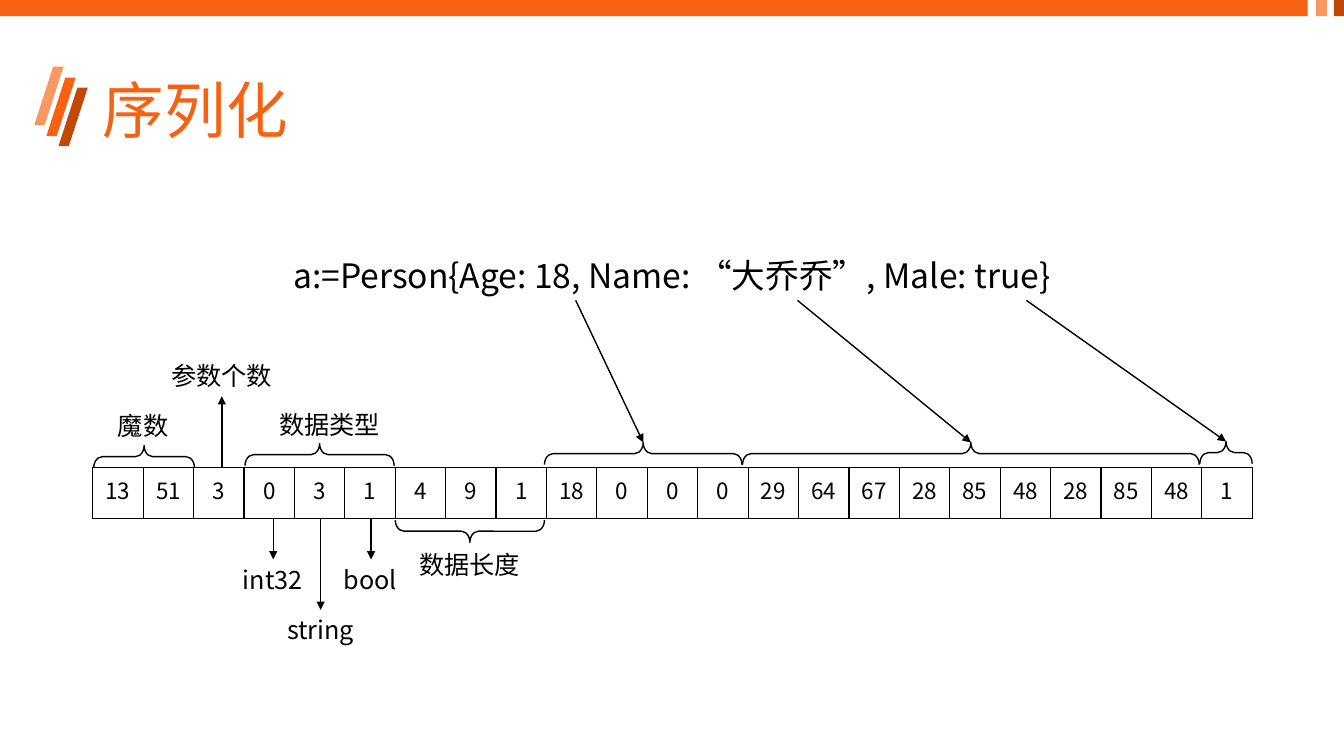
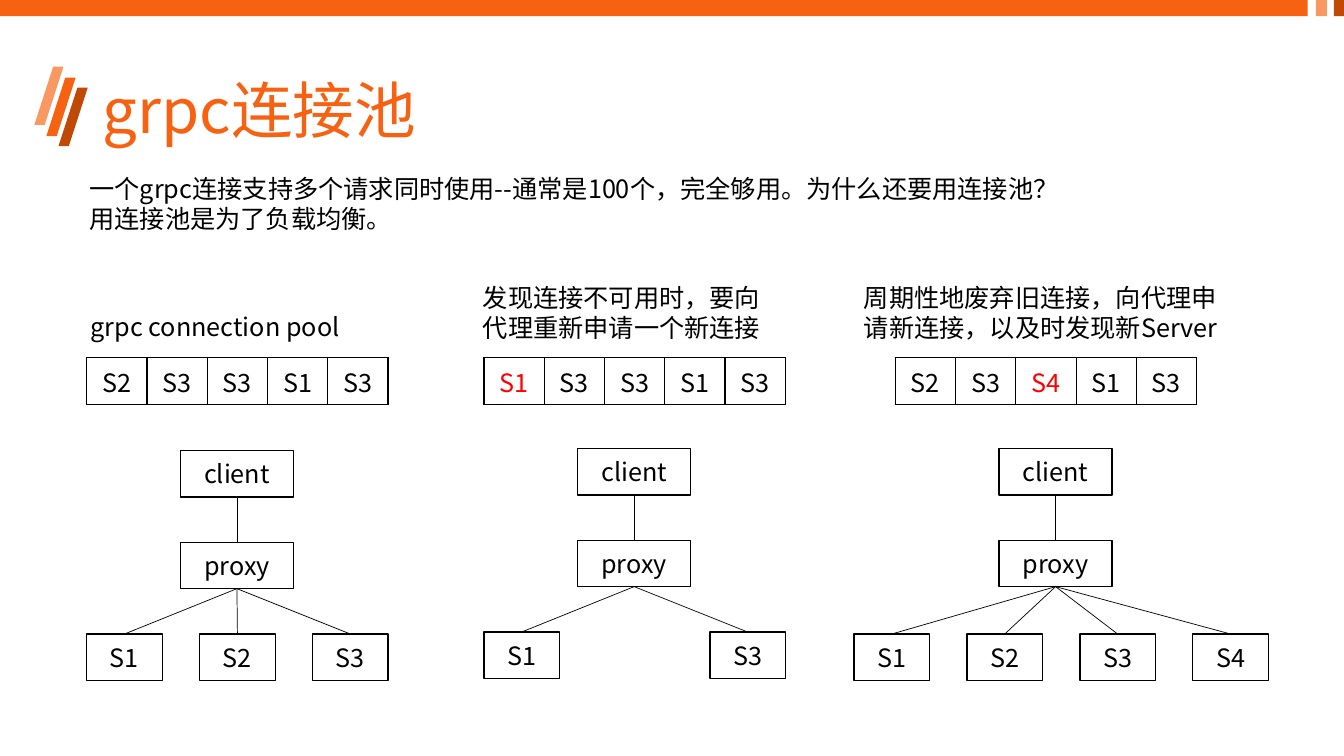
from pptx import Presentation
from pptx.dml.color import RGBColor
from pptx.enum.shapes import MSO_CONNECTOR, MSO_SHAPE
from pptx.enum.text import MSO_ANCHOR, MSO_AUTO_SIZE, PP_ALIGN
from pptx.oxml.ns import qn
from pptx.util import Inches, Pt
from lxml.etree import SubElement

FONT = "Noto Sans CJK SC"
ORANGE, LIGHT, DARK = "F76212", "FA9862", "C14907"
BLACK, WHITE, RED = "000000", "FFFFFF", "FF0000"

DECORATION = [
    (MSO_SHAPE.PARALLELOGRAM, 0.46, 0.77, 0.29, 0.58, ORANGE),
    (MSO_SHAPE.PARALLELOGRAM, 0.34, 0.66, 0.29, 0.58, LIGHT),
    (MSO_SHAPE.PARALLELOGRAM, 0.58, 0.87, 0.29, 0.58, DARK),
    (MSO_SHAPE.RECTANGLE, 0, 0, 12.97, 0.16, ORANGE),
    (MSO_SHAPE.RECTANGLE, 13.05, 0, 0.11, 0.16, LIGHT),
    (MSO_SHAPE.RECTANGLE, 13.23, 0, 0.1, 0.16, DARK),
]

BYTES = [13, 51, 3, 0, 3, 1, 4, 9, 1, 18, 0, 0, 0,
         29, 64, 67, 28, 85, 48, 28, 85, 48, 1]
PERSON = "a:=Person{Age: 18, Name: “大乔乔”, Male: true}"
BYTE_LABELS = [
    ("魔数", 1.07, 4.02, 0.75),
    ("参数个数", 1.6, 3.53, 1.25),
    ("数据类型", 2.67, 4.01, 1.25),
    ("数据长度", 4.06, 5.4, 1.25),
    ("int32", 2.31, 5.55, 0.85),
    ("string", 2.75, 6.05, 0.95),
    ("bool", 3.31, 5.55, 0.8),
]
BRACES = [
    (1.43, 4.53, 1, 270),
    (3.17, 4.51, 1.48, 270),
    (4.66, 5.27, 1.48, 90),
    (6.38, 4.5, 1.96, 270),
    (9.63, 4.5, 4.53, 270),
    (12.16, 4.49, 0.52, 270),
]
ARROWS = [
    (2.2, 4.64, 2.2, 3.93),
    (2.71, 5.15, 2.71, 5.55),
    (3.18, 5.15, 3.18, 6.05),
    (3.68, 5.15, 3.68, 5.55),
    (5.71, 2.98, 6.38, 4.39),
    (7.91, 2.98, 9.63, 4.39),
    (10.18, 2.98, 12.16, 4.38),
]

POOL_INTRO = [
    "一个grpc连接支持多个请求同时使用--通常是100个，完全够用。为什么还要用连接池？",
    "用连接池是为了负载均衡。",
]
POOLS = [
    {"caption": "grpc connection pool", "caption_box": (0.8, 3.04, 2.75, 0.4),
     "wrap": False, "connections": ["S2", "S3", "S3", "S1", "S3"], "changed": None,
     "table_left": 0.86, "center": 2.35, "client_top": 4.47,
     "server_left": 0.86, "server_top": 6.29, "servers": [1, 2, 3]},
    {"caption": "发现连接不可用时，要向代理重新申请一个新连接",
     "caption_box": (4.69, 2.75, 3.09, 0.71),
     "wrap": True, "connections": ["S1", "S3", "S3", "S1", "S3"], "changed": 0,
     "table_left": 4.8, "center": 6.29, "client_top": 4.45,
     "server_left": 4.8, "server_top": 6.27, "servers": [1, 3]},
    {"caption": "周期性地废弃旧连接，向代理申请新连接，以及时发现新Server",
     "caption_box": (8.47, 2.75, 3.79, 0.71),
     "wrap": True, "connections": ["S2", "S3", "S4", "S1", "S3"], "changed": 2,
     "table_left": 8.88, "center": 10.47, "client_top": 4.45,
     "server_left": 8.47, "server_top": 6.29, "servers": [1, 2, 3, 4]},
]
SERVER_STEP = 1.12
PROXY_DROP = 0.91


def rgb(color):
    return RGBColor.from_string(color)


def inches(*lengths):
    return [Inches(length) for length in lengths]


def style(paragraph, size, color=BLACK, align=PP_ALIGN.LEFT):
    paragraph.alignment = align
    paragraph.font.size = Pt(size)
    paragraph.font.name = FONT
    paragraph.font.color.rgb = rgb(color)
    properties = paragraph._p.pPr.find(qn("a:defRPr"))
    SubElement(properties, qn("a:ea")).set("typeface", FONT)


def add_decoration(slide, layout):
    for position, (kind, left, top, width, height, color) in enumerate(DECORATION, 2):
        shape = slide.shapes.add_shape(kind, *inches(left, top, width, height))
        shape.shadow.inherit = False
        shape.fill.solid()
        shape.fill.fore_color.rgb = rgb(color)
        shape.line.fill.background()
        if kind == MSO_SHAPE.PARALLELOGRAM:
            shape.adjustments[0] = 0.646
        layout.shapes.element.insert(position, shape.element)


def add_titled_slide(presentation, layout, text):
    slide = presentation.slides.add_slide(layout)
    title = slide.shapes.title
    title.left, title.top, title.width, title.height = inches(0.92, 0.4, 11.5, 1.45)
    title.text_frame.text = text
    title.text_frame.vertical_anchor = MSO_ANCHOR.MIDDLE
    paragraph = title.text_frame.paragraphs[0]
    paragraph.line_spacing = 0.9
    style(paragraph, 44, ORANGE)
    return slide


def add_text(slide, lines, box, size=18, wrap=False):
    frame = slide.shapes.add_textbox(*inches(*box)).text_frame
    frame.word_wrap = wrap
    frame.auto_size = MSO_AUTO_SIZE.SHAPE_TO_FIT_TEXT
    frame.text = "\n".join(lines)
    for paragraph in frame.paragraphs:
        style(paragraph, size)


def add_line(slide, ends=(0, 0, 0, 0), weight=0.5):
    line = slide.shapes.add_connector(MSO_CONNECTOR.STRAIGHT, *inches(*ends))
    line.line.color.rgb = rgb(BLACK)
    line.line.width = Pt(weight)
    SubElement(line.element.spPr, qn("a:effectLst"))
    return line


def add_arrow(slide, ends):
    arrow = add_line(slide, ends, 1)
    SubElement(arrow.line._get_or_add_ln(), qn("a:tailEnd")).set("type", "triangle")


def add_link(slide, upper, lower):
    link = add_line(slide)
    link.begin_connect(upper, 2)
    link.end_connect(lower, 0)


def add_brace(slide, center, middle, length, rotation):
    thickness = 0.22
    brace = slide.shapes.add_shape(
        MSO_SHAPE.RIGHT_BRACE,
        *inches(center - thickness / 2, middle - length / 2, thickness, length))
    brace.rotation = rotation
    brace.adjustments[0] = 0.385
    brace.shadow.inherit = False
    brace.fill.background()
    brace.line.color.rgb = rgb(BLACK)
    brace.line.width = Pt(1)


def add_node(slide, text, left, top, width):
    node = slide.shapes.add_shape(MSO_SHAPE.RECTANGLE, *inches(left, top, width, 0.46))
    node.shadow.inherit = False
    node.fill.solid()
    node.fill.fore_color.rgb = rgb(WHITE)
    node.line.color.rgb = rgb(BLACK)
    node.line.width = Pt(1)
    node.text_frame.text = text
    node.text_frame.vertical_anchor = MSO_ANCHOR.MIDDLE
    style(node.text_frame.paragraphs[0], 18, align=PP_ALIGN.CENTER)
    return node


def add_borders(cell):
    properties = cell._tc.get_or_add_tcPr()
    for side in ("a:lnL", "a:lnR", "a:lnT", "a:lnB"):
        border = SubElement(properties, qn(side), w=str(Pt(1)))
        fill = SubElement(border, qn("a:solidFill"))
        SubElement(fill, qn("a:srgbClr"), val=BLACK)


def add_strip(slide, values, box, size, margins=(0.1, 0.05), red_index=None):
    table = slide.shapes.add_table(1, len(values), *inches(*box)).table
    table.first_row = False
    table.horz_banding = False
    for index, value in enumerate(values):
        cell = table.cell(0, index)
        cell.margin_left = cell.margin_right = Inches(margins[0])
        cell.margin_top = cell.margin_bottom = Inches(margins[1])
        cell.text = str(value)
        color = RED if index == red_index else BLACK
        style(cell.text_frame.paragraphs[0], size, color, PP_ALIGN.CENTER)
        add_borders(cell)
        cell.fill.background()


def fill_serialization(slide):
    add_text(slide, [PERSON], (2.81, 2.48, 7.72, 0.5), 24, wrap=True)
    add_strip(slide, BYTES, (0.92, 4.64, 11.5, 0.5), 16, (0.12, 0.06))
    for brace in BRACES:
        add_brace(slide, *brace)
    for text, left, top, width in BYTE_LABELS:
        add_text(slide, [text], (left, top, width, 0.4))
    for ends in ARROWS:
        add_arrow(slide, ends)


def add_pool(slide, pool):
    add_text(slide, [pool["caption"]], pool["caption_box"], wrap=pool["wrap"])
    add_strip(slide, pool["connections"], (pool["table_left"], 3.55, 2.99, 0.46),
              18, red_index=pool["changed"])
    width = 1.12
    left = pool["center"] - width / 2
    client = add_node(slide, "client", left, pool["client_top"], width)
    proxy = add_node(slide, "proxy", left, pool["client_top"] + PROXY_DROP, width)
    add_link(slide, client, proxy)
    for number in pool["servers"]:
        server_left = pool["server_left"] + (number - 1) * SERVER_STEP
        server = add_node(slide, f"S{number}", server_left, pool["server_top"], 0.75)
        add_link(slide, proxy, server)


def fill_connection_pool(slide):
    add_text(slide, POOL_INTRO, (0.79, 1.67, 10.1, 0.71))
    for pool in POOLS:
        add_pool(slide, pool)


def main():
    presentation = Presentation()
    presentation.slide_width, presentation.slide_height = inches(13.33, 7.5)
    layout = presentation.slide_layouts[5]
    serialization = add_titled_slide(presentation, layout, "序列化")
    add_decoration(serialization, layout)
    fill_serialization(serialization)
    fill_connection_pool(add_titled_slide(presentation, layout, "grpc连接池"))
    presentation.save("out.pptx")


if __name__ == "__main__":
    main()
